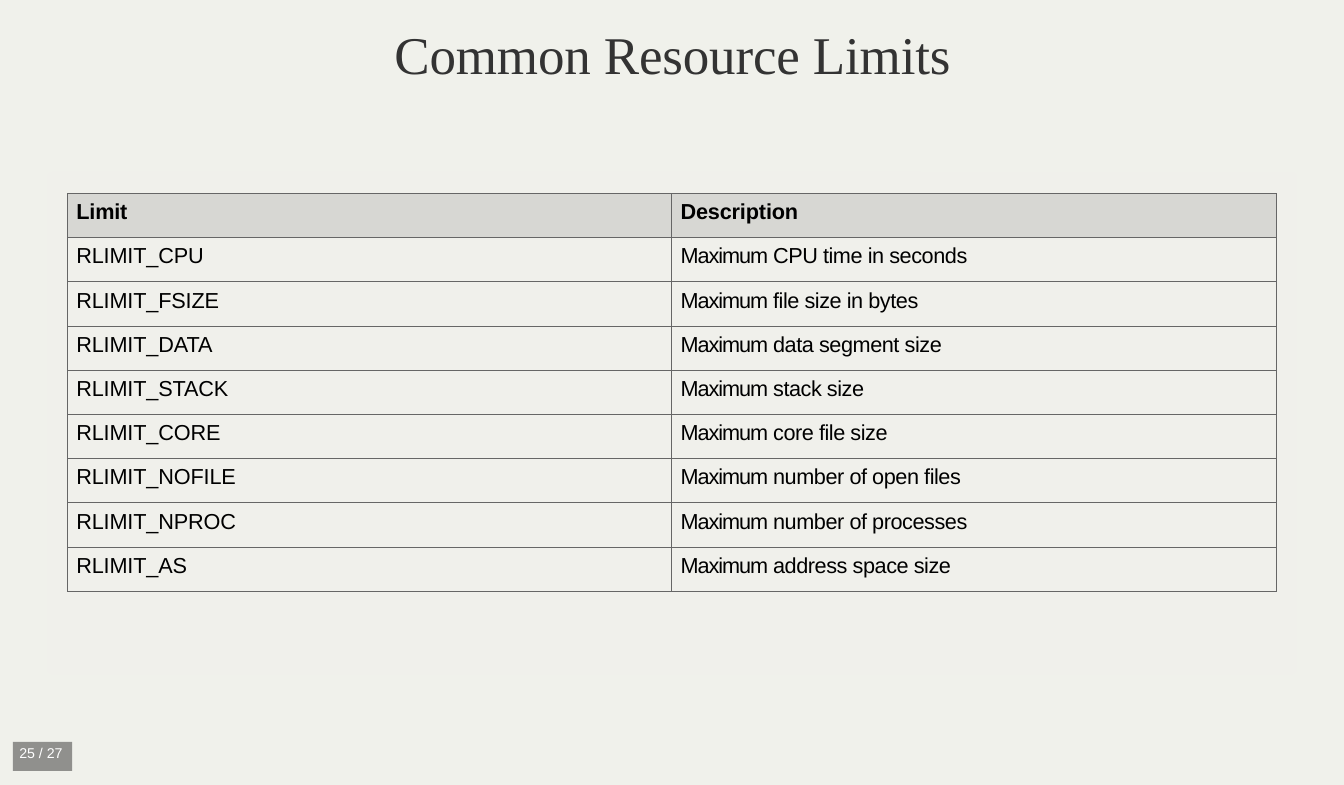
from pptx import Presentation
from pptx.dml.color import RGBColor
from pptx.enum.shapes import MSO_SHAPE
from pptx.enum.text import PP_ALIGN
from pptx.oxml.ns import qn
from pptx.util import Inches, Pt
from lxml.etree import SubElement

PAPER = RGBColor(0xF0, 0xF1, 0xEB)
PANEL = RGBColor(0xF0, 0xF0, 0xF0)
BLACK = RGBColor(0, 0, 0)
WHITE = RGBColor(0xFF, 0xFF, 0xFF)
INK = RGBColor(0x33, 0x33, 0x33)
RULE = RGBColor(0x66, 0x66, 0x66)

LIMITS = [
    ("Limit", "Description"),
    ("RLIMIT_CPU", "Maximum CPU time in seconds"),
    ("RLIMIT_FSIZE", "Maximum file size in bytes"),
    ("RLIMIT_DATA", "Maximum data segment size"),
    ("RLIMIT_STACK", "Maximum stack size"),
    ("RLIMIT_CORE", "Maximum core file size"),
    ("RLIMIT_NOFILE", "Maximum number of open files"),
    ("RLIMIT_NPROC", "Maximum number of processes"),
    ("RLIMIT_AS", "Maximum address space size"),
]


def set_alpha(fill, percent):
    color = fill._xPr.find(qn("a:solidFill"))[0]
    SubElement(color, qn("a:alpha"), val=str(percent * 1000))


def paint(fill, color, percent):
    fill.solid()
    fill.fore_color.rgb = color
    set_alpha(fill, percent)


def style(para, font, size, color, bold=False):
    para.font.name = font
    para.font.size = Pt(size)
    para.font.color.rgb = color
    para.font.bold = bold


def add_run(para, text, gap):
    """Add text with letter spacing in points."""
    run = para.add_run()
    run.text = text
    run.font._element.set("spc", str(round(gap * 100)))


def add_box(slide, kind, left, top, width, height, color, percent):
    box = slide.shapes.add_shape(
        kind, Inches(left), Inches(top), Inches(width), Inches(height))
    box.shadow.inherit = False
    paint(box.fill, color, percent)
    box.line.fill.background()
    return box


def add_label(slide, left, top, width, height, inset=0):
    box = slide.shapes.add_textbox(
        Inches(left), Inches(top), Inches(width), Inches(height))
    frame = box.text_frame
    frame.word_wrap = True
    frame.margin_left = Inches(inset)
    frame.margin_top = frame.margin_right = frame.margin_bottom = 0
    return frame.paragraphs[0]


def add_borders(cell):
    props = cell._tc.get_or_add_tcPr()
    for place, side in enumerate(("lnL", "lnR", "lnT", "lnB")):
        line = SubElement(props, qn(f"a:{side}"), w=str(Pt(0.75)))
        fill = SubElement(line, qn("a:solidFill"))
        SubElement(fill, qn("a:srgbClr"), val=str(RULE))
        props.insert(place, line)  # borders come before the fill


def fill_cell(cell, text, head):
    cell.margin_left = Inches(0.08)
    cell.margin_top = Inches(0.06)
    cell.margin_right = cell.margin_bottom = 0
    para = cell.text_frame.paragraphs[0]
    style(para, "Arial", 14.5, BLACK, head)
    first, space, rest = text.partition(" ")
    if rest:
        add_run(para, first + space, -0.7)
        add_run(para, rest, -0.3)
    else:
        add_run(para, text, -0.1)
    if head:
        paint(cell.fill, BLACK, 10)
    else:
        cell.fill.background()
    add_borders(cell)


def add_grid(slide, rows, left, top, width, height):
    grid = slide.shapes.add_table(
        len(rows), len(rows[0]), Inches(left), Inches(top),
        Inches(width), Inches(height)).table
    grid.horz_banding = False
    for r, row in enumerate(rows):
        for c, text in enumerate(row):
            fill_cell(grid.cell(r, c), text, r == 0)


def main():
    deck = Presentation()
    deck.slide_width, deck.slide_height = Inches(12.5), Inches(7.3)
    slide = deck.slides.add_slide(deck.slide_layouts[6])
    back = slide.background.fill
    back.solid()
    back.fore_color.rgb = PAPER

    # Title
    title = add_label(slide, 2.72, 0.2, 7.07, 0.64)
    title.alignment = PP_ALIGN.CENTER
    style(title, "Times New Roman", 35.5, INK)
    add_run(title, "Common Resource Limits", -0.1)

    # Panel and table of limits
    panel = add_box(slide, MSO_SHAPE.ROUNDED_RECTANGLE,
                    0.44, 1.6, 11.62, 4.67, PANEL, 10)
    panel.adjustments[0] = 0.01
    add_grid(slide, LIMITS, 0.63, 1.8, 11.24, 3.7)

    # Page number
    add_box(slide, MSO_SHAPE.RECTANGLE, 0.12, 6.9, 0.55, 0.27, BLACK, 40)
    page = add_label(slide, 0.14, 6.96, 0.5, 0.12, 0.04)
    page.line_spacing = Pt(8.6)
    style(page, "Arial", 9.5, WHITE)
    add_run(page, "25 / 27", 0)

    deck.save("out.pptx")


if __name__ == "__main__":
    main()
